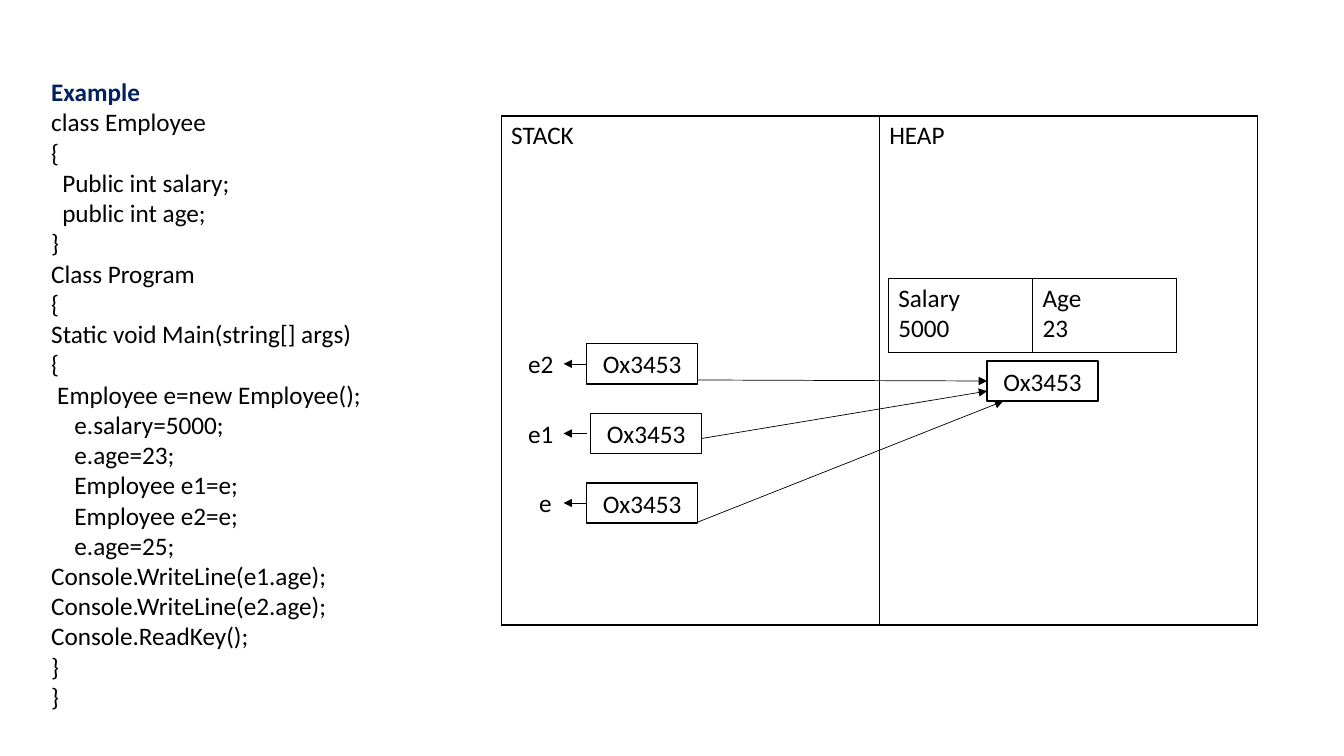
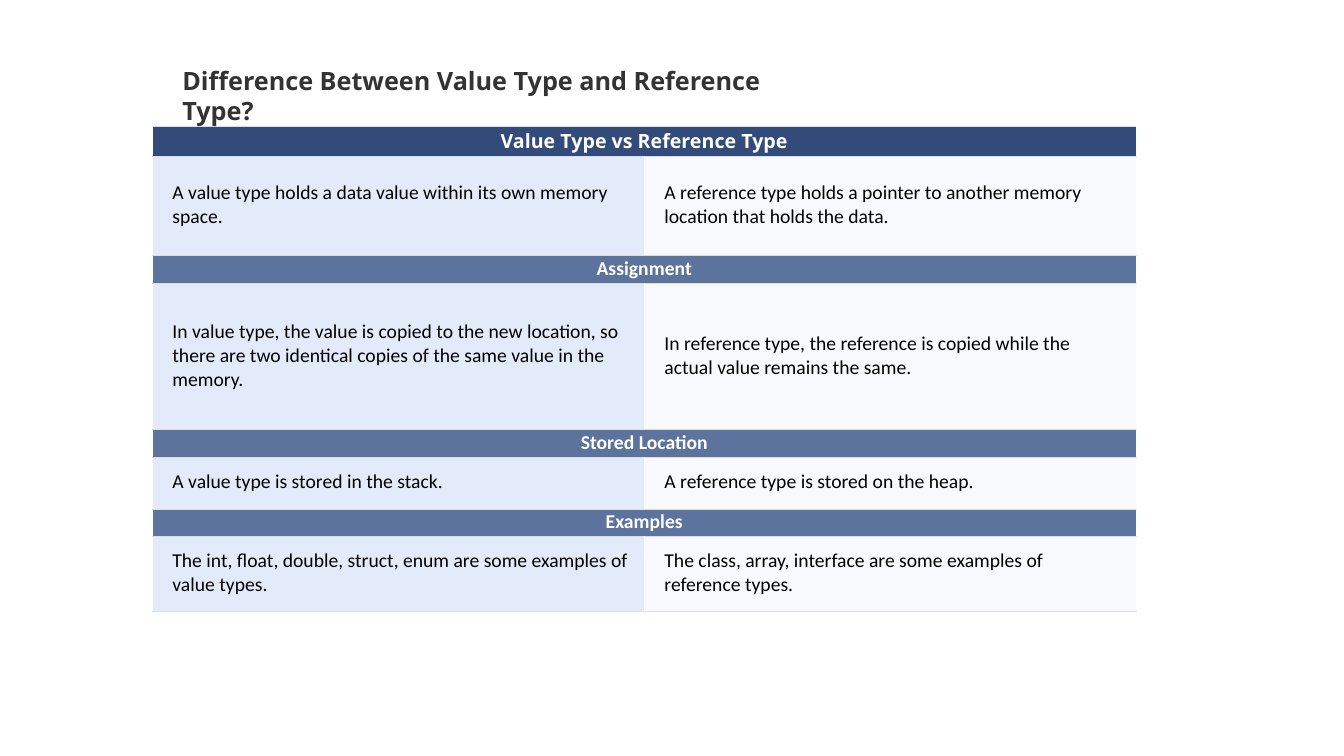
from dataclasses import dataclass

from lxml.etree import SubElement
from pptx import Presentation
from pptx.dml.color import RGBColor as Rgb
from pptx.enum.shapes import MSO_CONNECTOR as Conn, MSO_SHAPE as Form
from pptx.enum.text import MSO_ANCHOR as Anchor, PP_ALIGN as Align
from pptx.oxml.ns import qn
from pptx.util import Pt

PX = 9144  # EMU in one px, 100 px to the inch


@dataclass(frozen=True)
class Theme:
    black: str = "000000"
    white: str = "FFFFFF"
    navy: str = "002060"
    grey: str = "333333"
    rule: str = "DDDDDD"
    head: str = "324B7A"
    band: str = "5C739E"
    left: str = "E3EBFA"
    right: str = "F7F9FC"
    body: str = "Calibri"
    title: str = "Open Sans"
    big: int = 18
    small: int = 14


T = Theme()


class Deck:
    def __init__(self):
        self.prs = Presentation()
        self.prs.slide_width, self.prs.slide_height = 1333 * PX, 750 * PX
        self.slide = None

    def page(self):
        self.slide = self.prs.slides.add_slide(self.prs.slide_layouts[6])

    def style(self, paras, size=T.big, color=T.black, font=T.body,
              bold=False, align=Align.LEFT):
        for para in paras:
            para.alignment = align
            for run in para.runs:
                face = run.font
                face.name, face.size, face.bold = font, Pt(size), bold
                face.color.rgb = Rgb.from_string(color)

    def text(self, x, y, w, h, words, **look):
        shape = self.slide.shapes.add_textbox(x * PX, y * PX, w * PX, h * PX)
        frame = shape.text_frame
        frame.word_wrap = True
        frame.text = words
        self.style(frame.paragraphs, **look)
        return frame.paragraphs

    def box(self, x, y, words, w=110, h=40):
        shape = self.slide.shapes.add_shape(
            Form.RECTANGLE, x * PX, y * PX, w * PX, h * PX)
        shape.shadow.inherit = False
        shape.fill.solid()
        shape.fill.fore_color.rgb = Rgb.from_string(T.white)
        shape.line.color.rgb = Rgb.from_string(T.black)
        shape.line.width = Pt(1)
        shape.text_frame.text = words
        shape.text_frame.vertical_anchor = Anchor.MIDDLE
        self.style(shape.text_frame.paragraphs, align=Align.CENTER)
        return shape

    def arrow(self, start, end, tail=None, tip=None):
        """Draw an arrow; tail and tip are (shape, side) to join."""
        line = self.slide.shapes.add_connector(
            Conn.STRAIGHT, *(n * PX for n in start + end))
        if tail:
            line.begin_connect(*tail)
        if tip:
            line.end_connect(*tip)
        line.line.color.rgb = Rgb.from_string(T.black)
        line.line.width = Pt(0.5)
        SubElement(line.line._get_or_add_ln(), qn("a:tailEnd"), type="triangle")
        SubElement(line._element.spPr, qn("a:effectLst"))

    def table(self, x, y, cols, rows):
        frame = self.slide.shapes.add_table(
            len(rows), len(cols), x * PX, y * PX, sum(cols) * PX, sum(rows) * PX)
        grid = frame.table
        grid.first_row = grid.horz_banding = False
        for col, wide in zip(grid.columns, cols):
            col.width = wide * PX
        for row, high in zip(grid.rows, rows):
            row.height = high * PX
        return grid

    def edge(self, cell, sides, color, width):
        props = cell._tc.get_or_add_tcPr()
        for side in sides:
            line = SubElement(props, qn("a:ln" + side), w=str(Pt(width)))
            fill = SubElement(line, qn("a:solidFill"))
            SubElement(fill, qn("a:srgbClr"), val=color)

    def plain(self, x, y, cols, high, words):
        """One row of outlined cells without fill."""
        grid = self.table(x, y, cols, [high])
        for cell, word in zip(grid.iter_cells(), words):
            self.edge(cell, "LRTB", T.black, 1)
            cell.fill.background()
            cell.text_frame.text = word
            self.style(cell.text_frame.paragraphs)

    def cell(self, cell, words, fill, inset, **look):
        cell.margin_left, cell.margin_right = inset * PX, 13 * PX
        cell.margin_top, cell.margin_bottom = PX, 3 * PX
        cell.vertical_anchor = Anchor.MIDDLE
        cell.fill.solid()
        cell.fill.fore_color.rgb = Rgb.from_string(fill)
        cell.text_frame.text = words
        self.style(cell.text_frame.paragraphs, size=T.small, **look)


# Code lines with their indents in px
CODE = [
    (0, "Example"), (0, "class Employee"), (0, "{"),
    (11, "Public int salary;"), (11, "public int age;"), (0, "}"),
    (0, "Class Program"), (0, "{"), (0, "Static void Main(string[] args)"),
    (0, "{"), (6, "Employee e=new Employee();"), (23, "e.salary=5000;"),
    (23, "e.age=23;"), (23, "Employee e1=e;"), (23, "Employee e2=e;"),
    (23, "e.age=25;"), (0, "Console.WriteLine(e1.age);"),
    (0, "Console.WriteLine(e2.age);"), (0, "Console.ReadKey();"),
    (0, "}"), (0, "}"),
]

# Row height and its words: one for a band, two for a pair
ROWS = [
    (27, ["Value Type vs Reference Type"]),
    (98, ["A value type holds a data value within its own memory space.",
          "A reference type holds a pointer to another memory location that "
          "holds the data."]),
    (27, ["Assignment"]),
    (145, ["In value type, the value is copied to the new location, so there "
           "are two identical copies of the same value in the memory.",
           "In reference type, the reference is copied while the actual value "
           "remains the same."]),
    (27, ["Stored Location"]),
    (51, ["A value type is stored in the stack.",
          "A reference type is stored on the heap."]),
    (27, ["Examples"]),
    (74, ["The int, float, double, struct, enum are some examples of value "
          "types.",
          "The class, array, interface are some examples of reference types."]),
]


def memory(deck):
    deck.page()
    # Code listing
    lines = deck.text(41, 71, 340, 646, "\n".join(word for _, word in CODE))
    for para, (inset, _) in zip(lines, CODE):
        if inset:
            para._p.get_or_add_pPr().set("marL", str(inset * PX))
    deck.style(lines[:1], color=T.navy, bold=True)

    # Stack and heap
    deck.plain(497, 115, [375, 375], 505, ["STACK", "HEAP"])
    deck.plain(881, 276, [143, 143], 74, ["Salary\n5000", "Age\n23"])
    link = "Ox3453"
    heap = deck.box(979, 358, link)

    # Variables: name, name x, box x, start y, arrow end, join at the heap
    names = [
        ("e2", 514, 582, 377, (979, 378), (heap, 1)),
        ("e1", 514, 586, 435, (979, 388), None),
        ("e", 525, 582, 518, (995, 398), None),
    ]
    for i, (name, x, left, y, end, tip) in enumerate(names):
        top = 341 + 69 * i
        box = deck.box(left, top, link)
        deck.text(x, top, 46, 40, name)
        tail = (box, 1) if left == 582 else None
        deck.arrow((582, top + 20), (559, top + 20), tail)
        deck.arrow((left + 110, y), end, tip=tip)


def types(deck):
    deck.page()
    # Comparison table
    grid = deck.table(151, 125, [488, 488], [high for high, _ in ROWS])
    for cell in grid.iter_cells():
        deck.edge(cell, "TB", T.rule, 0.6)
    for i, (_, words) in enumerate(ROWS):
        first, last = grid.cell(i, 0), grid.cell(i, 1)
        if len(words) == 1:
            first.merge(last)
            fill, font = (T.band, T.body) if i else (T.head, T.title)
            deck.cell(first, words[0], fill, 13, color=T.white, font=font,
                      bold=True, align=Align.CENTER)
        else:
            deck.cell(first, words[0], T.left, 20)
            deck.cell(last, words[1], T.right, 20)

    # Title
    deck.text(171, 60, 652, 40,
              "Difference Between Value Type and Reference Type?",
              color=T.grey, font=T.title, bold=True)


def main():
    deck = Deck()
    memory(deck)
    types(deck)
    deck.prs.save("out.pptx")


if __name__ == "__main__":
    main()
